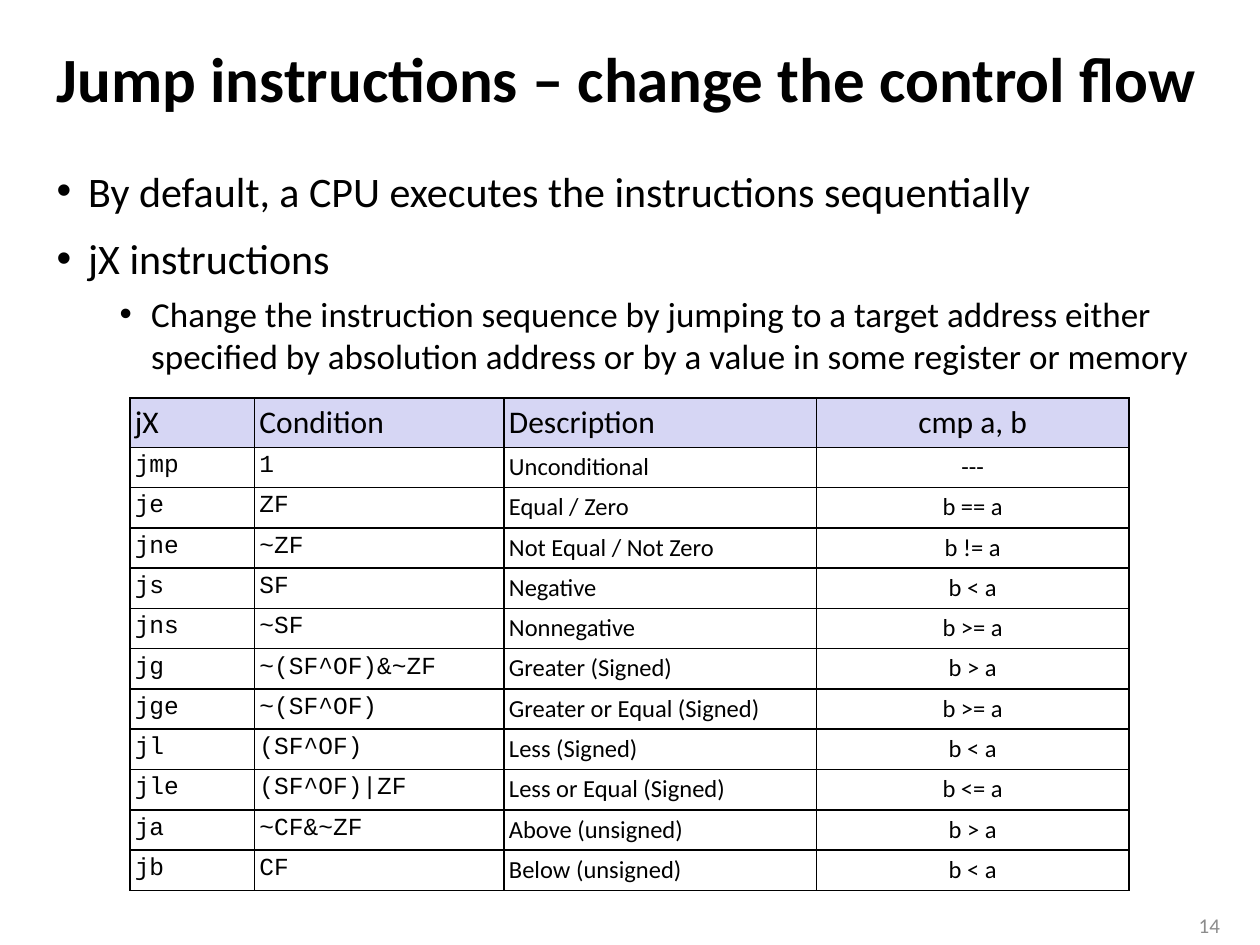
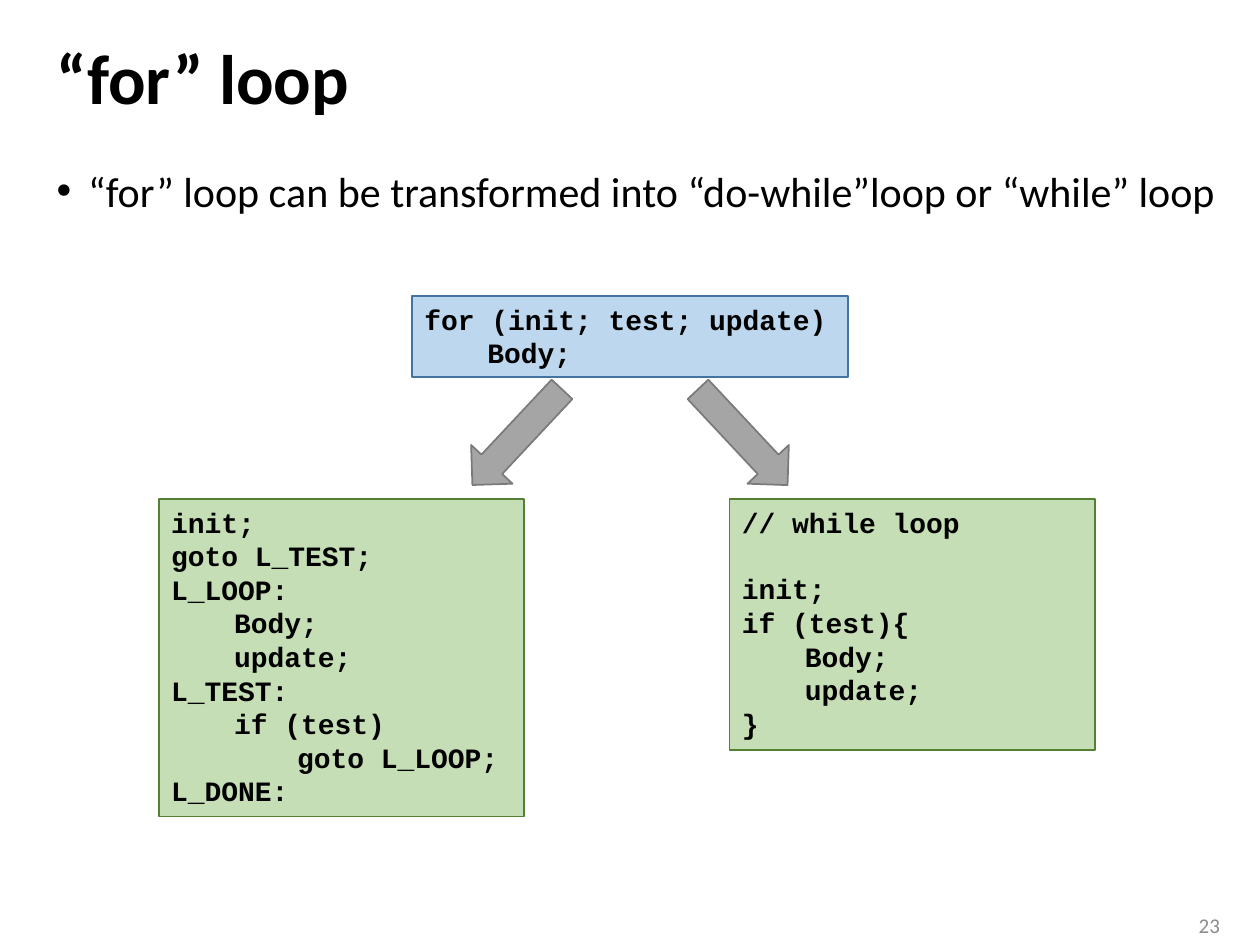
import pptx
import pptx.util
import pptx.dml.color
import pptx.enum.shapes
import pptx.enum.text
import pptx.oxml
import pptx.oxml.ns
from pptx.util import Inches, Pt

SANS, MONO = "Calibri", "Courier New"
BLACK, GREY, HEADER = "000000", "8C8C8C", "D6D6F4"
BLUE, GREEN, ARROW = ("5B9BD5", "43739E"), ("70AD47", "538035"), ("A5A5A5", "7A7A7A")
LEFT = pptx.enum.text.PP_ALIGN.LEFT
CENTER = pptx.enum.text.PP_ALIGN.CENTER
RIGHT = pptx.enum.text.PP_ALIGN.RIGHT
TOP = pptx.enum.text.MSO_ANCHOR.TOP
MIDDLE = pptx.enum.text.MSO_ANCHOR.MIDDLE
FIXED = pptx.enum.text.MSO_AUTO_SIZE.NONE
GROW = pptx.enum.text.MSO_AUTO_SIZE.SHAPE_TO_FIT_TEXT
RECTANGLE = pptx.enum.shapes.MSO_SHAPE.RECTANGLE
DOWN_ARROW = pptx.enum.shapes.MSO_SHAPE.DOWN_ARROW

TITLE_BOX = (0.35, 0.19, 9.29, 0.92)
NUMBER_BOX = (9.27, 7.19, 0.51, 0.31)
LEVELS = [{"size": 24, "before": 10, "margin": 0.25},
          {"size": 20, "before": 5, "margin": 0.75}]

JUMPS = [
    ("jX", "Condition", "Description", "cmp a, b"),
    ("jmp", "1", "Unconditional", "---"),
    ("je", "ZF", "Equal / Zero", "b == a"),
    ("jne", "~ZF", "Not Equal / Not Zero", "b != a"),
    ("js", "SF", "Negative", "b < a"),
    ("jns", "~SF", "Nonnegative", "b >= a"),
    ("jg", "~(SF^OF)&~ZF", "Greater (Signed)", "b > a"),
    ("jge", "~(SF^OF)", "Greater or Equal (Signed)", "b >= a"),
    ("jl", "(SF^OF)", "Less (Signed)", "b < a"),
    ("jle", "(SF^OF)|ZF", "Less or Equal (Signed)", "b <= a"),
    ("ja", "~CF&~ZF", "Above (unsigned)", "b > a"),
    ("jb", "CF", "Below (unsigned)", "b < a"),
]
FOR_CODE = ["for (init; test; update)", "\tBody;"]
GOTO_CODE = ["init;", "goto L_TEST;", "L_LOOP:", "\tBody;", "\tupdate;", "L_TEST:",
             "\tif (test)", "\t\tgoto L_LOOP;", "L_DONE:"]
WHILE_CODE = ["// while loop", "init;", "if (test){", "\tBody;", "\tupdate;", "}"]


# Shared helpers
def color(value):
    return pptx.dml.color.RGBColor.from_string(value)


def assign(target, values):
    for name, value in values.items():
        setattr(target, name, value)


def inches(box):
    return [Inches(length) for length in box]


def place(shape, box):
    assign(shape, dict(zip(("left", "top", "width", "height"), inches(box))))


def add_xml(parent, markup):
    """Append one drawing element and return it."""
    tag, rest = markup.split(" ", 1)
    element = pptx.oxml.parse_xml(f"<a:{tag} {pptx.oxml.ns.nsdecls('a')} {rest}")
    parent.append(element)
    return element


def write(para, text, size, face=SANS, ink=BLACK, bold=False, align=LEFT):
    para.alignment = align
    span = para.add_run()
    span.text = text
    assign(span.font, {"name": face, "size": Pt(size), "bold": bold})
    span.font.color.rgb = color(ink)


def paragraphs(frame, lines):
    """Yield each line with a paragraph to hold it."""
    for index, line in enumerate(lines):
        yield (frame.add_paragraph() if index else frame.paragraphs[0]), line


def paint(shape, colors, opacity=None):
    fill, line = colors
    shape.shadow.inherit = False
    shape.fill.solid()
    shape.fill.fore_color.rgb = color(fill)
    shape.line.color.rgb = color(line)
    shape.line.width = Pt(1)
    if opacity:
        tint = shape.fill._xPr.find(".//" + pptx.oxml.ns.qn("a:srgbClr"))
        add_xml(tint, f'alpha val="{opacity * 1000}"/>')


# Title, bullets and page number
def add_page(deck, title, title_size, bullets, body_width, number):
    page = deck.slides.add_slide(deck.slide_layouts[1])

    place(page.shapes.title, TITLE_BOX)
    frame = page.shapes.title.text_frame
    assign(frame, {"auto_size": FIXED, "vertical_anchor": MIDDLE, "word_wrap": True})
    frame.paragraphs[0].line_spacing = 0.9
    write(frame.paragraphs[0], title, title_size, bold=True)

    body = page.placeholders[1]
    place(body, (0.35, 1.26, body_width, 5.83))
    frame = body.text_frame
    assign(frame, {"auto_size": FIXED, "vertical_anchor": TOP, "word_wrap": True})
    for para, (level, text) in paragraphs(frame, bullets):
        style = LEVELS[level]
        first = para is frame.paragraphs[0] or text == bullets[0][1]
        assign(para, {"level": level, "line_spacing": 1.0,
                      "space_before": Pt(0 if first else style["before"])})
        settings = para._p.get_or_add_pPr()
        settings.set("marL", str(Inches(style["margin"])))
        settings.set("indent", str(Inches(-0.25)))
        add_xml(settings, 'buFont typeface="Arial"/>')
        add_xml(settings, 'buChar char="•"/>')
        write(para, text, style["size"])

    frame = page.shapes.add_textbox(*inches(NUMBER_BOX)).text_frame
    assign(frame, {"vertical_anchor": MIDDLE, "word_wrap": True})
    write(frame.paragraphs[0], number, 12, ink=GREY, align=RIGHT)
    return page


# Table of jump conditions
def format_cell(cell, fill):
    assign(cell, {f"margin_{side}": Inches(0.04)
                  for side in ("left", "right", "top", "bottom")})
    settings = cell._tc.get_or_add_tcPr()
    for side in "LRTB":
        border = add_xml(settings, f'ln{side} w="{Pt(1)}"/>')
        add_xml(add_xml(border, "solidFill />"), f'srgbClr val="{BLACK}"/>')
    if fill:
        cell.fill.solid()
        cell.fill.fore_color.rgb = color(fill)
    else:
        cell.fill.background()


def add_jump_table(page, left, top):
    widths = [0.99, 1.98, 2.48, 2.48]
    heights = [0.39] + [0.32] * (len(JUMPS) - 1)
    box = inches((left, top, sum(widths), sum(heights)))
    table = page.shapes.add_table(len(JUMPS), len(widths), *box).table
    assign(table, {"first_row": False, "horz_banding": False})
    for column, width in zip(table.columns, widths):
        column.width = Inches(width)
    for row_index, (row, height, texts) in enumerate(zip(table.rows, heights, JUMPS)):
        row.height = Inches(height)
        header = row_index == 0
        for column_index, (cell, text) in enumerate(zip(row.cells, texts)):
            format_cell(cell, HEADER if header else None)
            write(cell.text_frame.paragraphs[0], text, 18 if header else 14,
                  face=MONO if column_index < 2 and not header else SANS,
                  align=CENTER if column_index == 3 else LEFT)


# Code boxes and arrows
def add_code(page, box, lines, colors, gap_after_first=0):
    shape = page.shapes.add_shape(RECTANGLE, *inches(box))
    paint(shape, colors, opacity=40)
    frame = shape.text_frame
    assign(frame, {"word_wrap": True, "auto_size": GROW, "vertical_anchor": TOP})
    for index, (para, line) in enumerate(paragraphs(frame, lines)):
        if index == 1 and gap_after_first:
            para.space_before = Pt(gap_after_first)
        if "\t" in line:
            tabs = add_xml(para._p.get_or_add_pPr(), "tabLst />")
            for stop in (0.5, 1):
                add_xml(tabs, f'tab pos="{Inches(stop)}" algn="l"/>')
        write(para, line, 16, face=MONO, bold=True)


def add_loop_diagram(page, left, top):
    add_code(page, (left + 2.01, top, 3.46, 0.64), FOR_CODE, BLUE)
    add_code(page, (left, top + 1.61, 2.9, 2.52), GOTO_CODE, GREEN)
    add_code(page, (left + 4.53, top + 1.61, 2.9, 1.99), WHILE_CODE, GREEN,
             gap_after_first=19)
    for offset, angle in ((2.62, 43.1), (4.41, -43.1)):
        arrow = page.shapes.add_shape(
            DOWN_ARROW, *inches((left + offset, top + 0.6, 0.45, 1.04)))
        arrow.rotation = angle
        paint(arrow, ARROW)


def main():
    deck = pptx.Presentation()
    assign(deck, {"slide_width": Inches(10), "slide_height": Inches(7.5)})

    jumps = add_page(deck, "Jump instructions – change the control flow", 36, [
        (0, "By default, a CPU executes the instructions sequentially"),
        (0, "jX instructions"),
        (1, "Change the instruction sequence by jumping to a target address either "
            "specified by absolution address or by a value in some register or memory"),
    ], 9.29, "14")
    add_jump_table(jumps, 1.03, 3.16)

    loop = add_page(deck, "“for” loop", 40, [
        (0, "“for” loop can be transformed into “do-while”loop or “while” loop"),
    ], 9.47, "23")
    add_loop_diagram(loop, 1.26, 2.35)

    deck.save("out.pptx")


if __name__ == "__main__":
    main()
